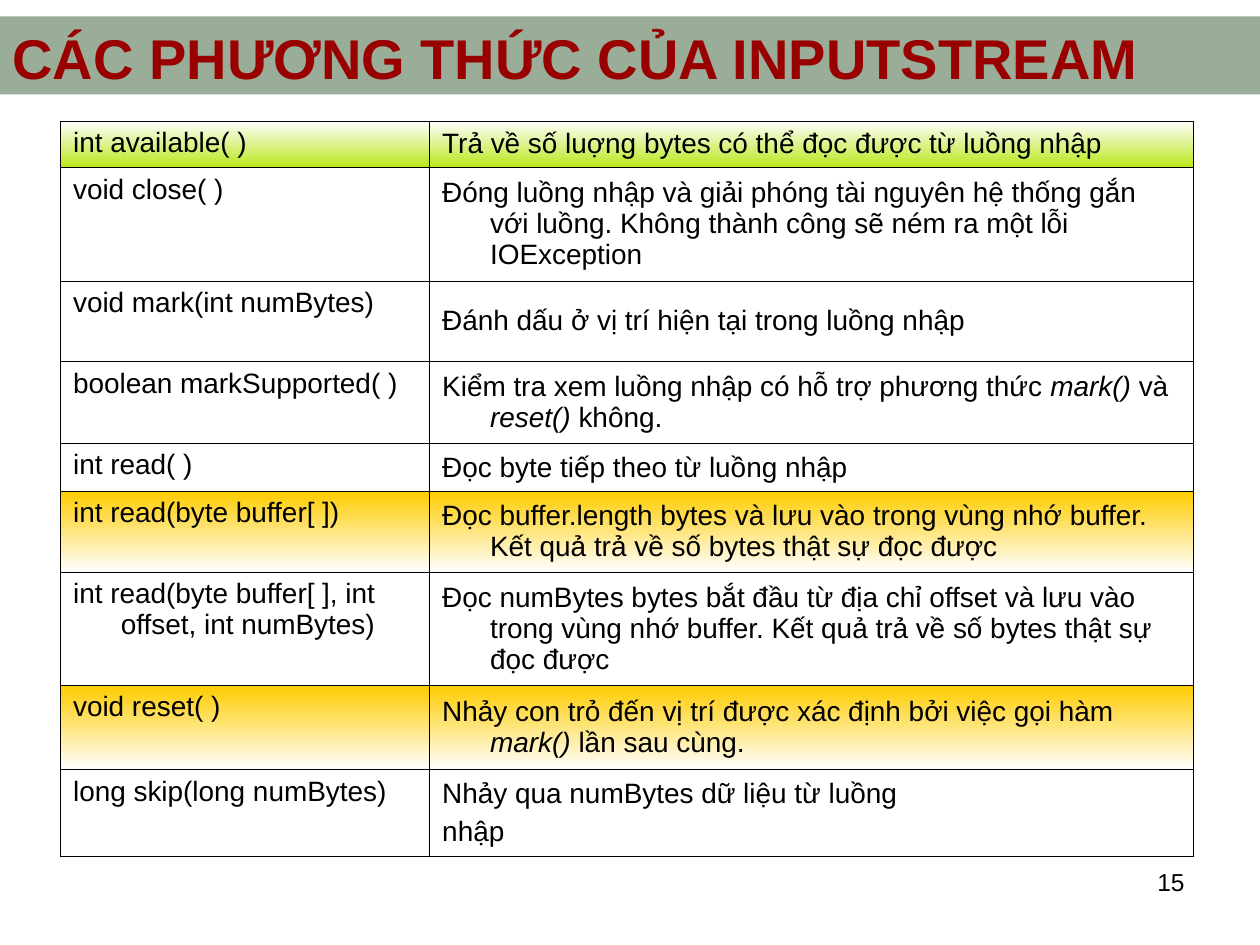
from lxml.etree import SubElement
from pptx import Presentation
from pptx.dml.color import RGBColor
from pptx.enum.shapes import MSO_SHAPE
from pptx.enum.text import MSO_ANCHOR, PP_ALIGN
from pptx.oxml.ns import qn
from pptx.util import Inches, Pt

BLACK = RGBColor(0x00, 0x00, 0x00)
WHITE = RGBColor(0xFF, 0xFF, 0xFF)
DARK_RED = RGBColor(0x99, 0x00, 0x00)
DARK_GREEN = RGBColor(0x00, 0x33, 0x00)
LIME = RGBColor(0xB9, 0xE7, 0x1C)
AMBER = RGBColor(0xFF, 0xCC, 0x00)

WIDTH, HEIGHT = Inches(10), Inches(7.5)
COLUMN_WIDTHS = (2.93, 6.06)
HANGING = Inches(0.38)
BORDER = Pt(0.34)

PLAIN = (WHITE,)
LIME_FADE = (WHITE, LIME)
AMBER_FADE = (AMBER, WHITE)

# Row height, fill, method, description paragraphs; *...* marks italics.
METHODS = (
    (0.37, LIME_FADE, "int available( )",
     ["Trả về số luợng bytes có thể đọc được từ luồng nhập"]),
    (0.90, PLAIN, "void close( )",
     ["Đóng luồng nhập và giải phóng tài nguyên hệ thống gắn với luồng. "
      "Không thành công sẽ ném ra một lỗi IOException"]),
    (0.64, PLAIN, "void mark(int numBytes)",
     ["Đánh dấu ở vị trí hiện tại trong luồng nhập"]),
    (0.65, PLAIN, "boolean markSupported( )",
     ["Kiểm tra xem luồng nhập có hỗ trợ phương thức *mark() *và "
      "*reset() *không."]),
    (0.38, PLAIN, "int read( )",
     ["Đọc byte tiếp theo từ luồng nhập"]),
    (0.64, AMBER_FADE, "int read(byte buffer[ ])",
     ["Đọc buffer.length bytes và lưu vào trong vùng nhớ buffer. "
      "Kết quả trả về số bytes thật sự đọc được"]),
    (0.90, PLAIN, "int read(byte buffer[ ], int offset, int numBytes)",
     ["Đọc numBytes bytes bắt đầu từ địa chỉ offset và lưu vào trong vùng "
      "nhớ buffer. Kết quả trả về số bytes thật sự đọc được"]),
    (0.67, AMBER_FADE, "void reset( )",
     ["Nhảy con trỏ đến vị trí được xác định bởi việc gọi hàm *mark() *"
      "lần sau cùng."]),
    (0.69, PLAIN, "long skip(long numBytes)",
     ["Nhảy qua numBytes dữ liệu từ luồng", "nhập"]),
)


def write(frame, paragraphs, size=16, color=BLACK, bold=False,
          align=PP_ALIGN.LEFT, hanging=0, gap=4):
    """Fill a text frame; text between asterisks becomes italic."""
    frame.word_wrap = True
    for index, text in enumerate(paragraphs):
        paragraph = frame.add_paragraph() if index else frame.paragraphs[0]
        paragraph.alignment = align
        if index:
            paragraph.space_before = Pt(gap)
        if hanging:
            properties = paragraph._p.get_or_add_pPr()
            properties.set("marL", str(hanging))
            properties.set("indent", str(-hanging))
        for part, piece in enumerate(text.split("*")):
            run = paragraph.add_run()
            run.text = piece
            font = run.font
            font.name, font.size, font.bold = "Arial", Pt(size), bold
            font.italic = part % 2 == 1
            font.color.rgb = color


def add_text(slide, text, left, top, width, height,
             anchor=MSO_ANCHOR.TOP, **style):
    """Add a text box placed by shares of the slide's size."""
    box = slide.shapes.add_textbox(int(left * WIDTH), int(top * HEIGHT),
                                   int(width * WIDTH), int(height * HEIGHT))
    box.text_frame.vertical_anchor = anchor
    write(box.text_frame, [text], **style)


def add_title_band(slide):
    band = slide.shapes.add_shape(MSO_SHAPE.RECTANGLE, 0, Inches(0.13),
                                  WIDTH, Inches(0.62))
    band.shadow.inherit = False
    band.line.fill.background()
    band.fill.solid()
    band.fill.fore_color.rgb = DARK_GREEN
    color = band._element.spPr.find(qn("a:solidFill")).find(qn("a:srgbClr"))
    SubElement(color, qn("a:alpha"), val="40000")


def add_borders(cell):
    properties = cell._tc.get_or_add_tcPr()
    for side in ("lnL", "lnR", "lnT", "lnB"):
        line = SubElement(properties, qn(f"a:{side}"), w=str(BORDER))
        fill = SubElement(line, qn("a:solidFill"))
        SubElement(fill, qn("a:srgbClr"), val=str(BLACK))


def fill_cell(cell, colors):
    """Use one colour as a solid fill, two as a fade from top to bottom."""
    if len(colors) == 1:
        cell.fill.solid()
        cell.fill.fore_color.rgb = colors[0]
        return
    cell.fill.gradient()
    cell.fill.gradient_angle = 270
    for stop, color in zip(cell.fill.gradient_stops, colors):
        stop.color.rgb = color


def add_method_table(slide):
    total_height = sum(method[0] for method in METHODS)
    table = slide.shapes.add_table(
        len(METHODS), len(COLUMN_WIDTHS), Inches(0.48), Inches(0.96),
        Inches(sum(COLUMN_WIDTHS)), Inches(total_height)).table
    table.first_row = table.horz_banding = False
    for column, width in zip(table.columns, COLUMN_WIDTHS):
        column.width = Inches(width)
    anchors = (MSO_ANCHOR.TOP, MSO_ANCHOR.MIDDLE)
    for row, (height, colors, method, description) in zip(table.rows, METHODS):
        row.height = Inches(height)
        for cell, paragraphs, anchor in zip(
                row.cells, ([method], description), anchors):
            add_borders(cell)
            fill_cell(cell, colors)
            cell.vertical_anchor = anchor
            write(cell.text_frame, paragraphs, hanging=HANGING)


def main():
    presentation = Presentation()
    presentation.slide_width, presentation.slide_height = WIDTH, HEIGHT
    slide = presentation.slides.add_slide(presentation.slide_layouts[6])
    add_text(slide, "15", 0.717, 0.911, 0.233, 0.069,
             size=14, align=PP_ALIGN.RIGHT)
    add_title_band(slide)
    add_method_table(slide)
    add_text(slide, "CÁC PHƯƠNG THỨC CỦA INPUTSTREAM", 0, 0.032, 1, 0.056,
             anchor=MSO_ANCHOR.MIDDLE, size=32, color=DARK_RED, bold=True)
    presentation.save("out.pptx")


if __name__ == "__main__":
    main()
